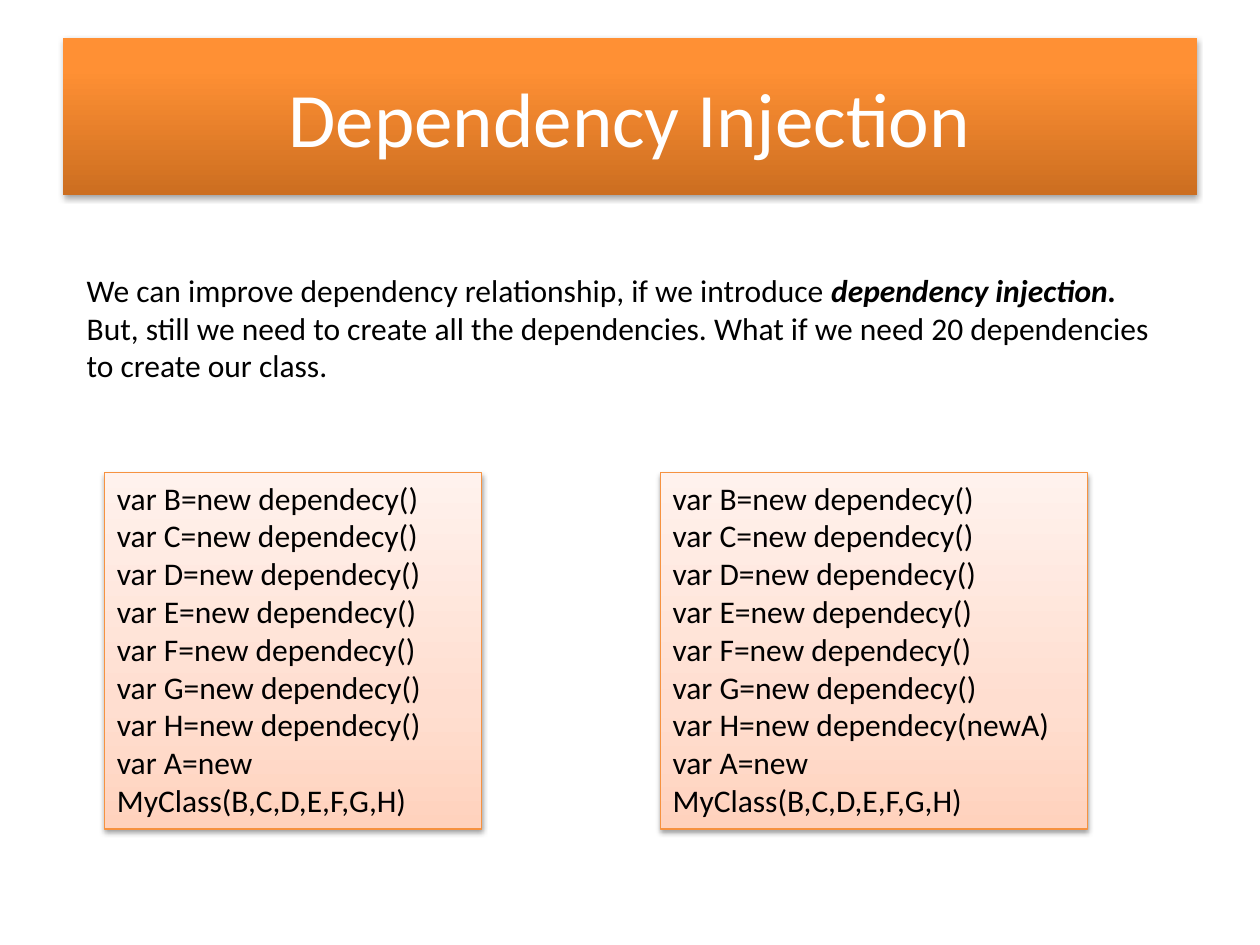
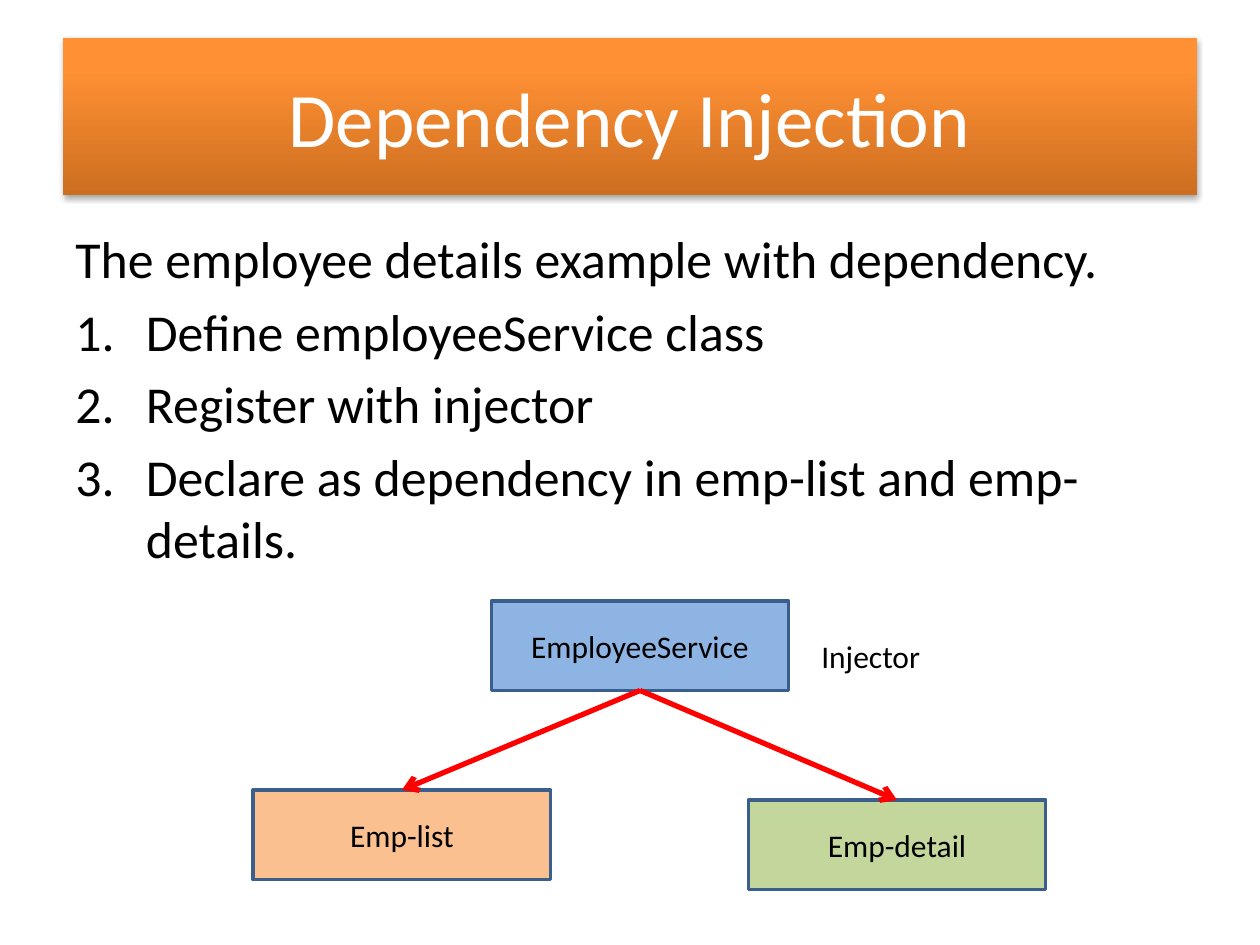
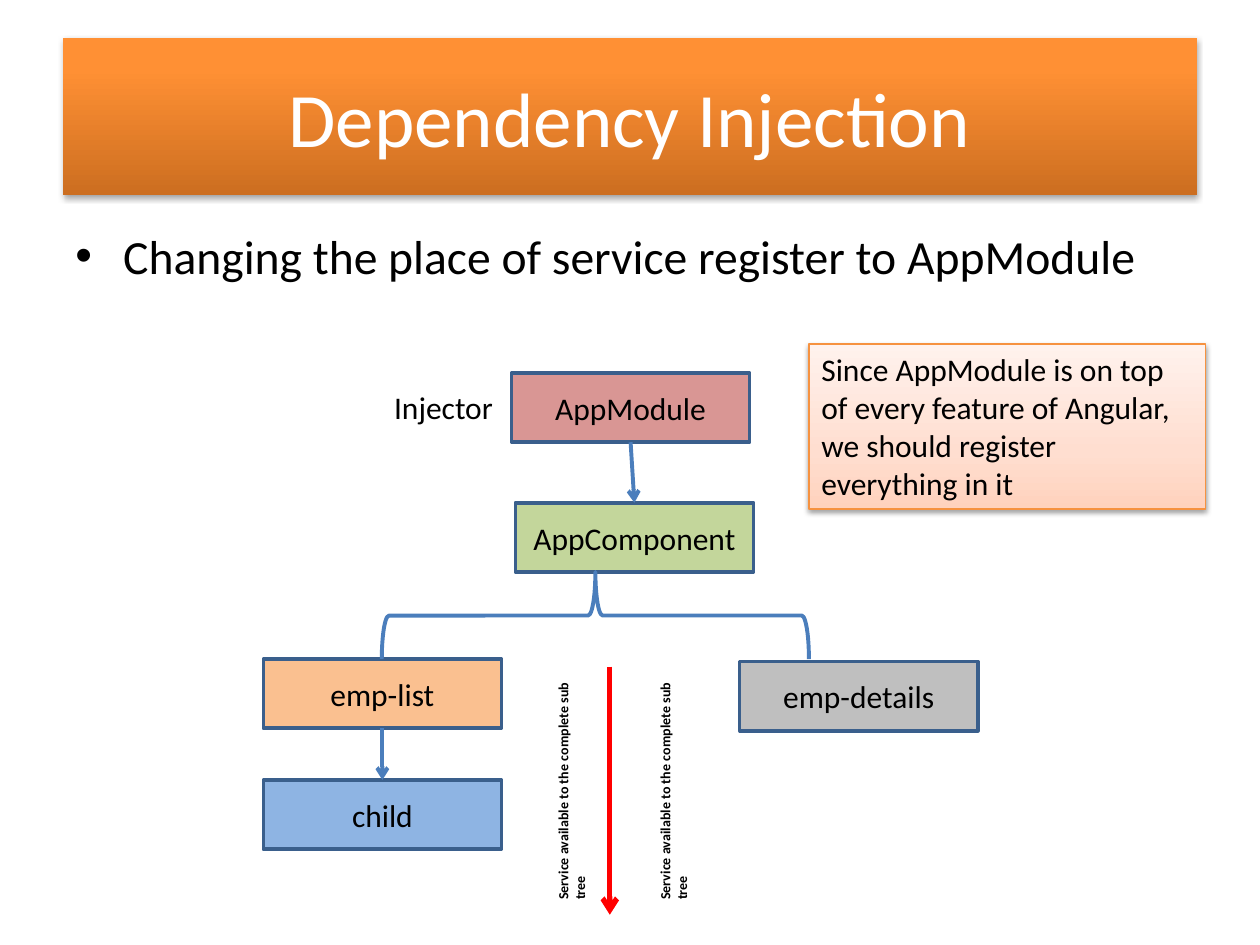
from lxml.etree import SubElement
from pptx import Presentation
from pptx.dml.color import RGBColor
from pptx.enum.shapes import MSO_CONNECTOR as Connector, MSO_SHAPE as Preset
from pptx.enum.text import MSO_ANCHOR as Anchor, MSO_AUTO_SIZE as AutoSize, PP_ALIGN as Align
from pptx.oxml.ns import qn
from pptx.util import Pt

PX = 9144
COLORS = {
    "black": "000000", "white": "FFFFFF", "red": "FF0000",
    "blue": "8EB4E3", "orange": "FAC090", "green": "C3D69B",
    "rose": "D99694", "gray": "BFBFBF",
    "border": "3A5F8C", "link": "4B7EBC", "card_border": "F69240",
}
TITLE_STOPS = [(0, "CC6E20"), (80, "FF9034"), (100, "FF9136")]
CARD_STOPS = [(0, "FFD2BD"), (35, "FFDED0"), (100, "FFF2ED")]
BODY_TEXT = {"size": Pt(18), "name": "Calibri"}
LEFT_TOP = {"vertical_anchor": Anchor.TOP, "word_wrap": True}
CENTERED = {"vertical_anchor": Anchor.MIDDLE, "word_wrap": True}
TOP, BOTTOM = 0, 2


def color(name):
    return RGBColor.from_string(COLORS[name])


def apply(target, values):
    for name, value in values.items():
        setattr(target, name, value)


class Deck:
    def __init__(self, width, height):
        self.presentation = Presentation()
        apply(self.presentation, {"slide_width": width * PX, "slide_height": height * PX})
        self.slide = None

    def add_slide(self, title):
        self.slide = self.presentation.slides.add_slide(self.presentation.slide_layouts[6])
        banner = self.shape(50, 30, 900, 125)
        self.gradient(banner, TITLE_STOPS)
        self.shadow(banner, 35, 23000)
        self.fill_text(banner, [title], CENTERED, Align.CENTER, "white", size=Pt(44))

    def shape(self, left, top, width, height, preset=Preset.RECTANGLE):
        box = [length * PX for length in (left, top, width, height)]
        shape = self.slide.shapes.add_shape(preset, *box)
        shape.shadow.inherit = False
        shape.line.fill.background()
        return shape

    def outline(self, line, name, points):
        line.color.rgb = color(name)
        line.width = Pt(points)

    def gradient(self, shape, stops):
        shape.fill.gradient()
        shape.fill.gradient_angle = 90
        stop_list = next(shape._element.iter(qn("a:gsLst")))
        stop_list.clear()
        for percent, value in stops:
            stop = SubElement(stop_list, qn("a:gs"), pos=str(percent * 1000))
            SubElement(stop, qn("a:srgbClr"), val=value)

    def shadow(self, shape, opacity, distance):
        effects = shape._element.spPr.find(qn("a:effectLst"))
        outer = SubElement(effects, qn("a:outerShdw"), blurRad="40000", dist=str(distance),
                           dir="5400000", rotWithShape="0")
        shade = SubElement(outer, qn("a:srgbClr"), val=COLORS["black"])
        SubElement(shade, qn("a:alpha"), val=str(opacity * 1000))

    def fill_text(self, shape, texts, frame=LEFT_TOP, align=Align.LEFT, ink="black",
                  space_before=0, **font):
        text_frame = shape.text_frame
        apply(text_frame, frame)
        for index, text in enumerate(texts):
            paragraph = text_frame.paragraphs[0] if index == 0 else text_frame.add_paragraph()
            apply(paragraph, {"alignment": align, "space_before": Pt(space_before)})
            runs = [(text, {})] if isinstance(text, str) else text
            for content, emphasis in runs:
                run = paragraph.add_run()
                run.text = content
                apply(run.font, {**BODY_TEXT, **font, **emphasis})
                run.font.color.rgb = color(ink)
        return text_frame.paragraphs

    def text(self, left, top, width, height, texts, rotation=0, **options):
        box = [length * PX for length in (left, top, width, height)]
        shape = self.slide.shapes.add_textbox(*box)
        shape.rotation = rotation
        return self.fill_text(shape, texts, **options)

    def bullets(self, paragraphs, indent, tag, **attributes):
        for paragraph in paragraphs:
            properties = paragraph._p.get_or_add_pPr()
            properties.set("marL", str(indent * PX))
            properties.set("indent", str(-indent * PX))
            if tag == "a:buChar":
                SubElement(properties, qn("a:buFont"), typeface="Arial")
            SubElement(properties, qn(tag), **attributes)

    def card(self, left, top, width, height, texts):
        card = self.shape(left, top, width, height)
        self.gradient(card, CARD_STOPS)
        self.outline(card.line, "card_border", 0.75)
        self.shadow(card, 38, 20000)
        self.fill_text(card, texts, {**LEFT_TOP, "auto_size": AutoSize.SHAPE_TO_FIT_TEXT})

    def node(self, left, top, width, height, label, fill):
        node = self.shape(left, top, width, height)
        node.fill.solid()
        node.fill.fore_color.rgb = color(fill)
        self.outline(node.line, "border", 2)
        self.fill_text(node, [label], CENTERED, Align.CENTER)
        return node

    def brace(self, left, top, width, height):
        brace = self.shape(left, top, width, height, Preset.LEFT_BRACE)
        brace.rotation = 90
        brace.fill.background()
        self.outline(brace.line, "link", 2.25)

    def arrow(self, start, end, name, points):
        ends = [length * PX for length in (*start, *end)]
        arrow = self.slide.shapes.add_connector(Connector.STRAIGHT, *ends)
        self.outline(arrow.line, name, points)
        properties = arrow._element.spPr
        SubElement(properties.find(qn("a:ln")), qn("a:tailEnd"), type="arrow")
        SubElement(properties, qn("a:effectLst"))
        return arrow

    def link(self, parent, child, name, points):
        arrow = self.arrow((0, 0), (0, 0), name, points)
        arrow.begin_connect(parent, BOTTOM)
        arrow.end_connect(child, TOP)


def code_lines(last_argument=""):
    lines = [f"var {letter}=new dependecy()" for letter in "BCDEFG"]
    return lines + [f"var H=new dependecy({last_argument})", "var A=new MyClass(B,C,D,E,F,G,H)"]


def add_improvement_slide(deck):
    deck.add_slide("Dependency Injection")
    deck.text(59, 210, 890, 101, [
        [("We can improve dependency relationship, if we introduce ", {}),
         ("dependency injection.", {"bold": True, "italic": True})],
        "But, still we need to create all the dependencies. "
        "What if we need 20 dependencies to create our class.",
    ])
    deck.card(83, 375, 299, 283, code_lines())
    deck.card(524, 375, 339, 283, code_lines("newA"))


def add_employee_slide(deck):
    deck.add_slide("Dependency Injection")
    paragraphs = deck.text(50, 175, 900, 263, [
        "The employee details example with dependency.",
        "Define employeeService class",
        "Register with injector",
        "Declare as dependency in emp-list and emp-details.",
    ], space_before=6, size=Pt(29.6))
    deck.bullets(paragraphs[1:], 56, "a:buAutoNum", type="arabicPeriod")
    service = deck.node(390, 477, 236, 71, "EmployeeService", "blue")
    for left, top, label, fill in [(201, 627, "Emp-list", "orange"),
                                   (594, 635, "Emp-detail", "green")]:
        deck.link(service, deck.node(left, top, 236, 71, label, fill), "red", 3)
    deck.text(642, 501, 165, 40, ["Injector"])


def add_module_slide(deck):
    deck.add_slide("Dependency Injection")
    paragraphs = deck.text(50, 175, 900, 50,
                           ["Changing the place of service register to AppModule"],
                           space_before=5.4, size=Pt(27.2))
    deck.bullets(paragraphs, 38, "a:buChar", char="•")
    module, component, employee_list, details, child = [
        deck.node(left, top, 189, 55, label, fill) for left, top, label, fill in [
            (406, 296, "AppModule", "rose"),
            (409, 399, "AppComponent", "green"),
            (209, 523, "emp-list", "orange"),
            (587, 525, "emp-details", "gray"),
            (209, 619, "child", "blue"),
        ]]
    deck.link(module, component, "link", 2.25)
    deck.brace(438, 319, 69, 339)
    deck.link(employee_list, child, "link", 2.25)
    deck.text(303, 303, 157, 41, ["Injector"])
    deck.arrow((484, 529), (484, 726), "red", 3)
    for left in (354, 435):
        deck.text(left, 606, 199, 37, ["Service available to the complete sub tree"],
                  rotation=270, size=Pt(8), bold=True)
    deck.card(642, 273, 315, 131, [
        "Since AppModule is on top of every feature of Angular, "
        "we should register everything in it"])


def main():
    deck = Deck(1000, 750)
    add_improvement_slide(deck)
    add_employee_slide(deck)
    add_module_slide(deck)
    deck.presentation.save("out.pptx")


if __name__ == "__main__":
    main()
